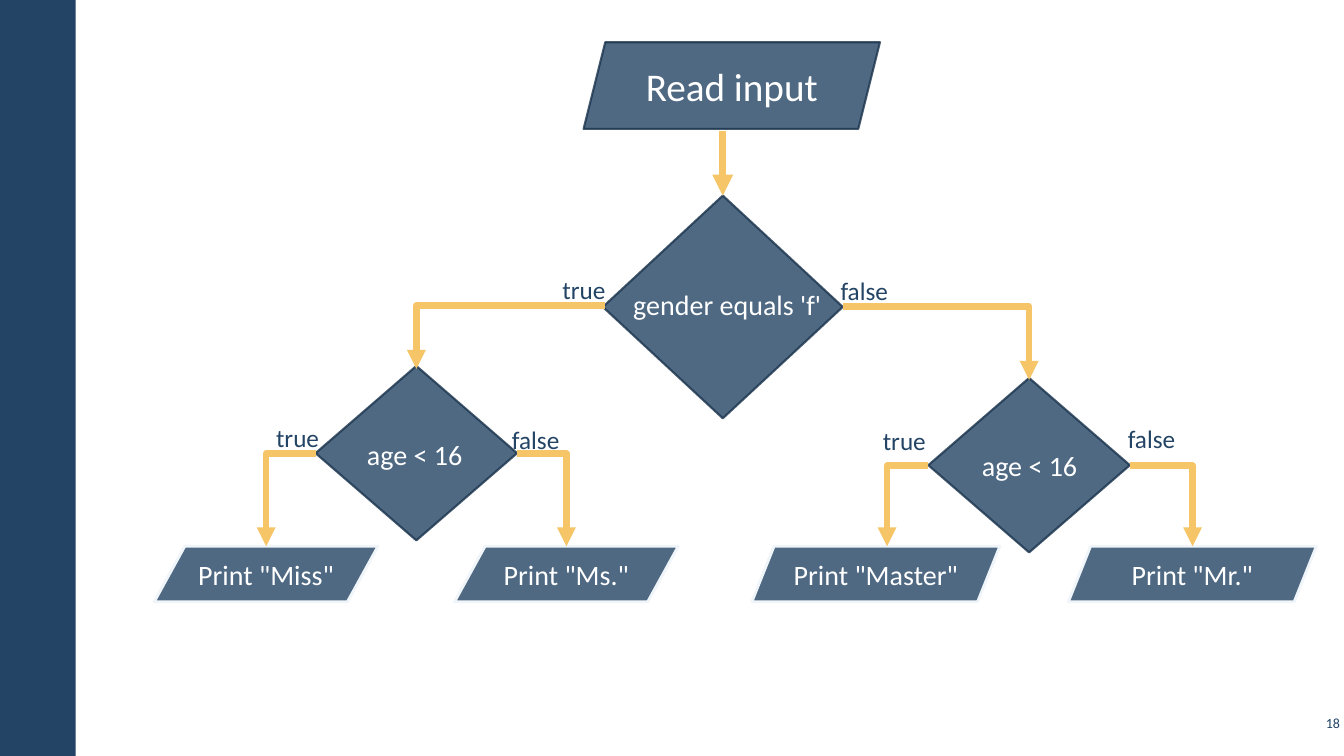
from dataclasses import dataclass

from lxml import etree
from pptx import Presentation
from pptx.dml.color import RGBColor
from pptx.enum.shapes import MSO_CONNECTOR, MSO_SHAPE
from pptx.enum.text import MSO_ANCHOR, PP_ALIGN
from pptx.oxml.ns import qn
from pptx.util import Pt

LEFT, CENTER, RIGHT = PP_ALIGN.LEFT, PP_ALIGN.CENTER, PP_ALIGN.RIGHT
TOP, MIDDLE = MSO_ANCHOR.TOP, MSO_ANCHOR.MIDDLE
RECT, DIAMOND, SLANTED = MSO_SHAPE.RECTANGLE, MSO_SHAPE.DIAMOND, MSO_SHAPE.PARALLELOGRAM
STRAIGHT, ELBOW = MSO_CONNECTOR.STRAIGHT, MSO_CONNECTOR.ELBOW

FONT = "Calibri"
COLORS = {"navy": "234465", "edge": "1A334C", "pale": "F0F5FA",
          "arrow": "F5C567", "white": "FFFFFF"}
OPACITY = 80


@dataclass
class Step:
    """A parallelogram with its text inside."""
    text: str
    x: float
    y: float
    w: float
    h: float
    slant: float = 0.25
    size: float = 20
    edge: str = "pale"
    edge_width: float = 2


@dataclass
class Decision:
    """A diamond with its question in a text box."""
    text: str
    x: float
    y: float
    w: float
    h: float
    text_x: float
    text_y: float
    text_w: float
    align: PP_ALIGN = LEFT


@dataclass
class Branch:
    """An arrow going sideways, then down, and its label."""
    label: str
    label_x: float
    label_y: float
    x1: float
    y1: float
    x2: float
    y2: float


PRINT_Y, PRINT_H = 390.2, 39.6
STEPS = [
    Step("Read input", 416.9, 30.2, 211.7, 61.9, size=28, edge="edge", edge_width=1.5),
    Step('Print "Miss"', 110.2, PRINT_Y, 159.8, PRINT_H, 0.55),
    Step('Print "Ms."', 324.7, PRINT_Y, 159.8, PRINT_H, 0.55),
    Step('Print "Master"', 537.1, PRINT_Y, 177.1, PRINT_H, 0.4),
    Step('Print "Mr."', 763.2, PRINT_Y, 177.1, PRINT_H, 0.4),
]
DECISIONS = [
    Decision("gender equals 'f'", 430.6, 139.7, 171.4, 159.1, 410.4, 194.4, 218.2, CENTER),
    Decision("age < 16", 225.4, 261.4, 144, 124.6, 250.6, 301.7, 104.4),
    Decision("age < 16", 663.1, 270, 144, 124.6, 689.8, 309.6, 104.4),
]
BRANCHES = [
    Branch("true", 394.6, 192.2, 432, 218.2, 297.4, 263.5),
    Branch("false", 593.3, 193, 602, 218.9, 735.1, 271.4),
    Branch("true", 190.1, 298.1, 225.4, 324, 190.1, PRINT_Y),
    Branch("false", 358.6, 299.5, 369.4, 324, 404.6, PRINT_Y),
    Branch("true", 623.5, 300.2, 663.1, 332.6, 633.6, PRINT_Y),
    Branch("false", 798.5, 298.8, 807.1, 332.6, 851.8, PRINT_Y),
]


def rgb(name: str) -> RGBColor:
    return RGBColor.from_string(COLORS[name])


def set_opacity(fill) -> None:
    """Make the solid fill found below an element partly transparent."""
    color = fill.find(".//" + qn("a:srgbClr"))
    etree.SubElement(color, qn("a:alpha"), val=str(OPACITY * 1000))


def write(tf, text: str, *, size: float, color: str = "white", align: PP_ALIGN = LEFT,
          anchor: MSO_ANCHOR = TOP, inset: tuple = (7.2, 3.6), spacing: float = 1) -> None:
    tf.word_wrap = True
    tf.vertical_anchor = anchor
    tf.margin_left = tf.margin_right = Pt(inset[0])
    tf.margin_top = tf.margin_bottom = Pt(inset[1])
    p = tf.paragraphs[0]
    p.alignment, p.line_spacing = align, spacing
    r = p.add_run()
    r.text = text
    r.font.name, r.font.size = FONT, Pt(size)
    r.font.color.rgb = rgb(color)


def add_text(s, text: str, x: float, y: float, w: float, h: float, **fmt) -> None:
    write(s.shapes.add_textbox(Pt(x), Pt(y), Pt(w), Pt(h)).text_frame, text, **fmt)


def add_node(s, kind: MSO_SHAPE, x: float, y: float, w: float, h: float,
             edge: str = "edge", edge_width: float = 1.5):
    sp = s.shapes.add_shape(kind, Pt(x), Pt(y), Pt(w), Pt(h))
    sp.shadow.inherit = False
    sp.fill.solid()
    sp.fill.fore_color.rgb = rgb("navy")
    set_opacity(sp._element.spPr.find(qn("a:solidFill")))
    sp.line.color.rgb = rgb(edge)
    sp.line.width = Pt(edge_width)
    if edge == "edge":
        set_opacity(sp._element.spPr.find(qn("a:ln")))
    return sp


def add_arrow(s, x1: float, y1: float, x2: float, y2: float, width: float = 4.5) -> None:
    kind = STRAIGHT if x1 == x2 else ELBOW
    turned = x2 < x1
    ends = (x2, y2, x1, y1) if turned else (x1, y1, x2, y2)
    c = s.shapes.add_connector(kind, *map(Pt, ends))
    c.line.color.rgb = rgb("arrow")
    c.line.width = Pt(width)
    spPr = c._element.spPr
    if kind == ELBOW:
        spPr.find(qn("a:prstGeom")).set("prst", "bentConnector2")
    if turned:
        spPr.find(qn("a:xfrm")).set("rot", "10800000")
    ln = spPr.find(qn("a:ln"))
    etree.SubElement(ln, qn("a:round"))
    etree.SubElement(ln, qn("a:tailEnd"), type="triangle")
    etree.SubElement(spPr, qn("a:effectLst"))


def main() -> None:
    prs = Presentation()
    prs.slide_width, prs.slide_height = Pt(960), Pt(540)
    s = prs.slides.add_slide(prs.slide_layouts[6])

    # Side band and slide number
    band = s.shapes.add_shape(RECT, Pt(0), Pt(0), Pt(54), Pt(540))
    band.shadow.inherit = False
    band.fill.solid()
    band.fill.fore_color.rgb = rgb("navy")
    band.line.fill.background()
    add_text(s, "18", 926, 504, 34, 24.5, size=10, color="navy", align=RIGHT,
             anchor=MIDDLE, inset=(2.9, 2.9))

    # Input and output steps
    for step in STEPS:
        sp = add_node(s, SLANTED, step.x, step.y, step.w, step.h, step.edge, step.edge_width)
        sp.adjustments[0] = step.slant
        write(sp.text_frame, step.text, size=step.size, align=CENTER, anchor=MIDDLE)

    # Decisions
    for d in DECISIONS:
        add_node(s, DIAMOND, d.x, d.y, d.w, d.h)
        add_text(s, d.text, d.text_x, d.text_y, d.text_w, 42.5, size=20,
                 align=d.align, inset=(11.5, 8.6), spacing=1.1)

    # Arrows and branch labels
    add_arrow(s, 516.3, 93.6, 516.3, 139.7, width=5)
    for b in BRANCHES:
        add_arrow(s, b.x1, b.y1, b.x2, b.y2)
        add_text(s, b.label, b.label_x, b.label_y, 60, 36, size=18, color="navy")

    prs.save("out.pptx")


if __name__ == "__main__":
    main()
